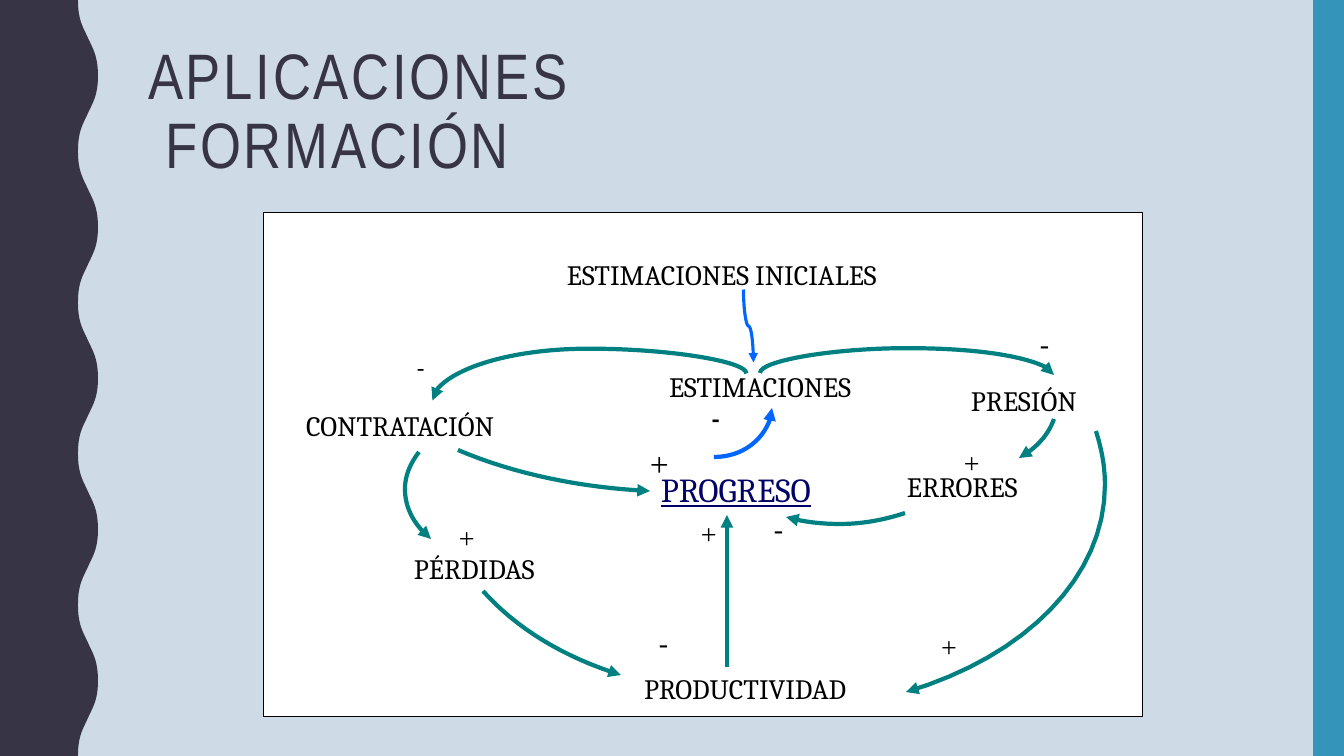
from lxml import etree
from pptx import Presentation
from pptx.dml.color import RGBColor
from pptx.enum.shapes import MSO_CONNECTOR, MSO_SHAPE
from pptx.enum.text import MSO_ANCHOR, MSO_AUTO_SIZE, PP_ALIGN
from pptx.oxml.ns import qn
from pptx.util import Pt

RECTANGLE = MSO_SHAPE.RECTANGLE
STRAIGHT, CURVE = MSO_CONNECTOR.STRAIGHT, MSO_CONNECTOR.CURVE
PX = 914400 / 100.8
WIDTH, HEIGHT = 1344, 756
DARK, TEAL, BLUE, BLACK, WHITE = "373545", "008080", "0066FF", "000000", "FFFFFF"
CURVE_STEPS = 16


def px(*lengths):
    return [round(length * PX) for length in lengths]


def trace(controls):
    """Sample a chain of cubic curves: a start, then three points per curve."""
    points = [px(*controls[0])]
    for first in range(0, len(controls) - 1, 3):
        for step in range(1, CURVE_STEPS + 1):
            t = step / CURVE_STEPS
            weights = [(1 - t) ** 3, 3 * t * (1 - t) ** 2, 3 * t ** 2 * (1 - t), t ** 3]
            points.append(px(*(sum(weight * value for weight, value in zip(weights, axis))
                               for axis in zip(*controls[first:first + 4]))))
    return points


deck = Presentation()
deck.slide_width, deck.slide_height = px(WIDTH, HEIGHT)
page = deck.slides.add_slide(deck.slide_layouts[5])
page.background.fill.solid()
page.background.fill.fore_color.rgb = RGBColor.from_string("CEDBE6")

# Wavy band on the left: five equal waves, each a half and its mirror
half_wave = [(78, 0), (78, 20), (83, 27), (88, 38), (93, 49), (98, 56), (98, 76)]
wave_count = 5
period = HEIGHT / wave_count
wave = half_wave + [(x, period - y) for x, y in reversed(half_wave[:-1])]
edge = [point for number in range(wave_count)
        for point in trace([(x, y + number * period) for x, y in wave])]
builder = page.shapes.build_freeform(0, 0, scale=1.0)
builder.add_line_segments(edge + [px(0, HEIGHT)], close=True)
band = builder.convert_to_shape()

side_bar = page.shapes.add_shape(RECTANGLE, *px(1313, 0, 31, HEIGHT))
panel = page.shapes.add_shape(RECTANGLE, *px(264, 213, 879, 504))
filled = [(band, DARK), (side_bar, "3494BA"), (panel, WHITE)]

title = page.shapes.title
title.left, title.top, title.width, title.height = px(138, 42, 1122, 164)
frame = title.text_frame
frame.text = "APLICACIONES\v FORMACIÓN"
frame.auto_size = MSO_AUTO_SIZE.NONE
frame.vertical_anchor = MSO_ANCHOR.TOP
frame.margin_top = px(2)[0]
heading = frame.paragraphs[0]
heading.alignment = PP_ALIGN.LEFT
heading.line_spacing = 0.9
for span in heading.runs:
    span.font.name = "Arial Narrow"
    span.font.size = Pt(45.9)
    span.font.color.rgb = RGBColor.from_string(DARK)
    span._r.get_or_add_rPr().set("spc", "200")

# Text, place and size of the box, left and top inset, font, size, on white
labels = [
    ("ERRORES", (840, 465, 204, 43), (67, 5), "Cambria", 20, False),
    ("PRESIÓN", (954, 373, 184, 50), (17, 11), "Cambria", 20, True),
    ("PÉRDIDAS", (292, 546, 269, 43), (122, 6), "Cambria", 20, False),
    ("PRODUCTIVIDAD", (634, 667, 253, 43), (10, 5), "Cambria", 20, True),
    ("CONTRATACIÓN", (281, 398, 311, 50), (25, 11), "Cambria", 20, True),
    ("PROGRESO", (651, 464, 229, 50), (10, 5), "Cambria", 24, False),
    ("ESTIMACIONES INICIALES", (483, 247, 529, 50), (84, 11), "Cambria", 20, False),
    ("ESTIMACIONES", (659, 365, 226, 43), (10, 5), "Cambria", 20, False),
    ("+", (449, 516, 42, 43), (10, 5), "Times New Roman", 20, False),
    ("-", (649, 619, 30, 44), (10, 6), "Times New Roman", 20, False),
    ("+", (691, 511, 37, 44), (10, 5), "Times New Roman", 20, False),
    ("+", (861, 592, 118, 77), (80, 38), "Times New Roman", 20, False),
    ("+", (954, 441, 67, 43), (10, 5), "Times New Roman", 20, False),
    ("-", (760, 482, 33, 77), (14, 30), "Times New Roman", 20, False),
    ("-", (1037, 331, 22, 43), (3, -4), "Times New Roman", 20, False),
    ("+", (640, 438, 40, 51), (10, 5), "Times New Roman", 24, False),
    ("-", (702, 398, 31, 40), (10, 5), "Calibri", 18, False),
    ("-", (407, 347, 33, 40), (10, 5), "Calibri", 18, False),
]
for text, place, insets, font, size, on_white in labels:
    if on_white:
        box = page.shapes.add_shape(RECTANGLE, *px(*place))
        filled.append((box, WHITE))
    else:
        box = page.shapes.add_textbox(*px(*place))
    frame = box.text_frame
    frame.word_wrap = False
    frame.vertical_anchor = MSO_ANCHOR.TOP
    frame.margin_left, frame.margin_top = px(*insets)
    frame.text = text
    frame.paragraphs[0].alignment = PP_ALIGN.LEFT
    span = frame.paragraphs[0].runs[0]
    span.font.name = font
    span.font.size = Pt(size)
    span.font.underline = text == "PROGRESO"
    span.font.bold = place[:2] == (702, 398)
    span.font.color.rgb = RGBColor.from_string("000066" if text == "PROGRESO" else BLACK)

for shape, colour in filled:
    shape.shadow.inherit = False
    shape.fill.solid()
    shape.fill.fore_color.rgb = RGBColor.from_string(colour)
    shape.line.fill.background()
panel.line.color.rgb = RGBColor.from_string(BLACK)
panel.line.width = Pt(0.75)

arrows = []
arcs = [
    [(905, 513), (884, 520), (862, 524), (840, 524), (822, 524), (803, 522), (786, 517)],
    [(1054, 419), (1049, 434), (1037, 448), (1019, 458)],
    [(419, 452), (410, 464), (405, 476), (405, 489), (405, 508), (414, 525), (431, 539)],
    [(1096, 431), (1102, 450), (1105, 467), (1105, 485), (1105, 576), (1027, 656), (906, 692)],
    [(483, 591), (516, 628), (563, 657), (621, 675)],
    [(458, 450), (514, 474), (582, 488), (650, 491)],
]
for arc in arcs:
    start, *points = trace(arc)
    builder = page.shapes.build_freeform(*start, scale=1.0)
    builder.add_line_segments(points, close=False)
    arrow = builder.convert_to_shape()
    arrow.fill.background()
    arrows.append((arrow, TEAL, 3))

productivity_arrow = page.shapes.add_connector(STRAIGHT, *px(727, 667, 727, 515))
arrows.append((productivity_arrow, TEAL, 3))

# Ends before turning, turn in degrees, preset, bend, colour, width
curves = [
    ((785, 321, 712, 331), 270, "curvedConnector3", 0.5, BLUE, 2.25),
    ((906, 521, 908, 227), 90, "curvedConnector3", -12.5, TEAL, 3),
    ((603, 544, 576, 230), 270, "curvedConnector3", -0.92, TEAL, 3),
    ((714, 457, 772, 408), 0, "curvedConnector2", None, BLUE, 3),
]
for ends, turn, preset, bend, colour, width in curves:
    curve = page.shapes.add_connector(CURVE, *px(*ends))
    properties = curve._element.spPr
    properties.find(qn("a:xfrm")).set("rot", str(turn * 60000))
    geometry = properties.find(qn("a:prstGeom"))
    geometry.set("prst", preset)
    if bend is not None:
        adjustments = geometry.find(qn("a:avLst"))
        if adjustments is None:
            adjustments = etree.SubElement(geometry, qn("a:avLst"))
        etree.SubElement(adjustments, qn("a:gd"), name="adj1", fmla=f"val {round(bend * 100000)}")
    arrows.append((curve, colour, width))

for arrow, colour, width in arrows:
    arrow.line.color.rgb = RGBColor.from_string(colour)
    arrow.line.width = Pt(width)
    etree.SubElement(arrow.line._get_or_add_ln(), qn("a:tailEnd"), type="triangle")
    etree.SubElement(arrow._element.spPr, qn("a:effectLst"))

deck.save("out.pptx")
